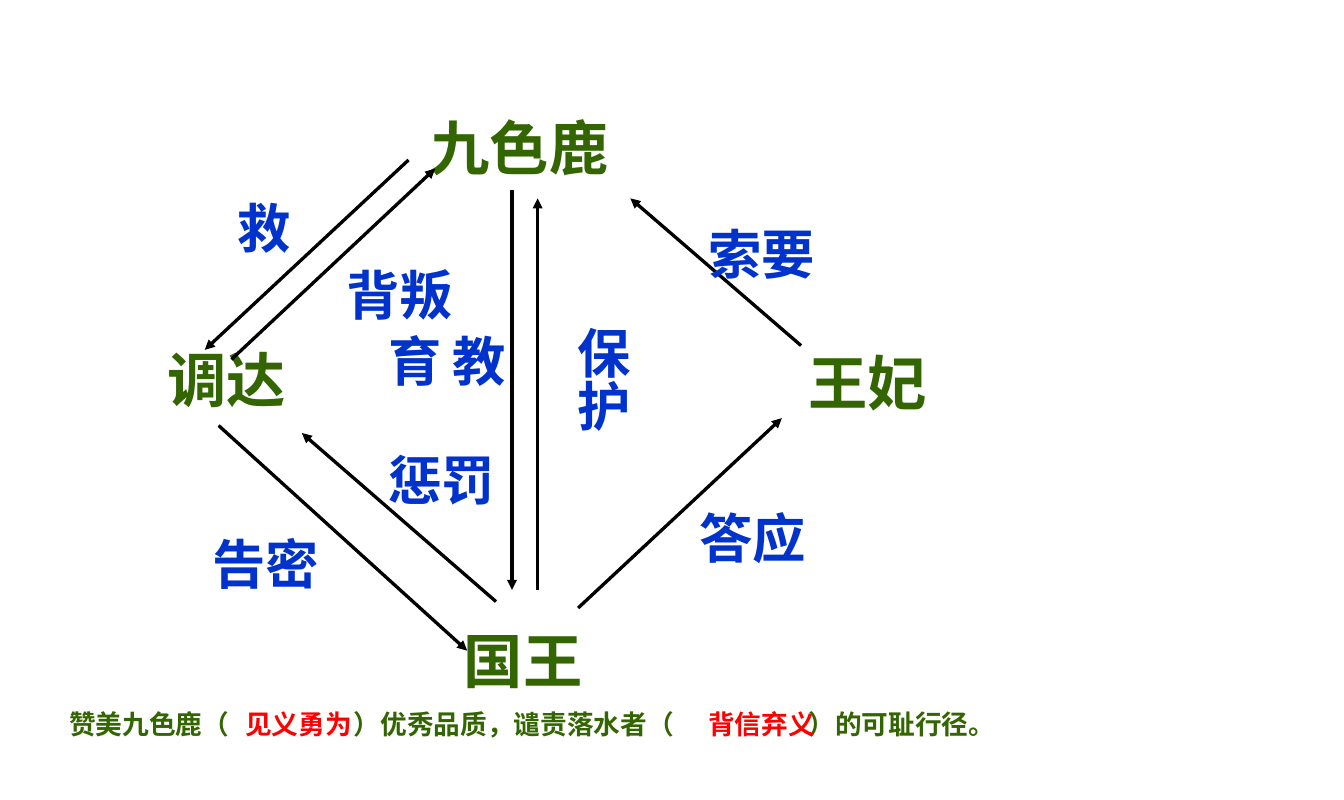
from dataclasses import dataclass
from pptx import Presentation
from pptx import util as u
from pptx.dml.color import RGBColor
from pptx.enum import shapes, text
from pptx.oxml.ns import qn
from lxml import etree


@dataclass
class Theme:
    font: str = "Times New Roman"
    green: str = "336600"
    blue: str = "0033CC"
    red: str = "FF0000"
    black: str = "000000"
    name_size: float = 40
    label_size: float = 36
    summary_size: float = 18
    line_width: float = 2.25


class Diagram:
    def __init__(self, prs, theme):
        self.theme = theme
        self.s = prs.slides.add_slide(prs.slide_layouts[6])

    def words(self, content, box, size, color, vertical=False, tabs=()):
        sp = self.s.shapes.add_textbox(*[u.Inches(v) for v in box])
        tf = sp.text_frame
        tf.word_wrap = True
        tf.auto_size = text.MSO_AUTO_SIZE.SHAPE_TO_FIT_TEXT
        if vertical:
            sp.element.find(".//" + qn("a:bodyPr")).set("vert", "eaVert")
            tf.margin_left = tf.margin_right = u.Inches(0.05)
            tf.margin_top = tf.margin_bottom = u.Inches(0.1)
        p = tf.paragraphs[0]
        if tabs:
            pPr = p._p.get_or_add_pPr()
            stops = etree.SubElement(pPr, qn("a:tabLst"))
            for pos in tabs:
                etree.SubElement(stops, qn("a:tab"), pos=str(u.Inches(pos)), algn="l")
        r = p.add_run()
        r.text = content
        r.font.name = self.theme.font
        r.font.size = u.Pt(size)
        r.font.bold = True
        r.font.color.rgb = RGBColor.from_string(color)

    def arrow(self, *ends):
        c = self.s.shapes.add_connector(
            shapes.MSO_CONNECTOR.STRAIGHT, *[u.Inches(v) for v in ends])
        c.line.color.rgb = RGBColor.from_string(self.theme.black)
        c.line.width = u.Pt(self.theme.line_width)
        ln = c.line._get_or_add_ln()
        etree.SubElement(ln, qn("a:tailEnd"), type="triangle")
        etree.SubElement(c.element.spPr, qn("a:effectLst"))


def main():
    prs = Presentation()
    prs.slide_width, prs.slide_height = u.Inches(12.6), u.Inches(7.5)
    t = Theme()
    d = Diagram(prs, t)

    # Characters
    for name, x, y, w in [
        ("九色鹿", 3.94, 0.99, 2.52),
        ("调达", 1.47, 3.17, 1.68),
        ("国王", 4.25, 5.8, 1.78),
        ("王妃", 7.48, 3.2, 1.68),
    ]:
        d.words(name, (x, y, w, 0.77), t.name_size, t.green)

    # Arrows between characters
    for ends in [
        (4.8, 1.78, 4.8, 5.53),
        (5.04, 5.53, 5.04, 1.86),
        (2.05, 3.99, 4.38, 6.1),
        (4.65, 5.64, 2.83, 4.06),
        (7.51, 3.24, 5.91, 1.86),
        (3.83, 1.5, 1.92, 3.28),
        (2.17, 3.37, 4.08, 1.58),
        (5.42, 5.7, 7.33, 3.92),
    ]:
        d.arrow(*ends)

    # Vertical labels
    for label, x, y, h in [("保护", 5.2, 2.96, 1.33), ("教育", 4.02, 3.04, 1.17)]:
        d.words(label, (x, y, 0.8, h), t.label_size, t.blue, vertical=True)

    # Horizontal labels
    for label, x, y, w in [
        ("惩罚", 3.54, 4.14, 1.68),
        ("告密", 1.89, 4.93, 1.68),
        ("答应", 6.46, 4.69, 1.58),
        ("索要", 6.54, 2.02, 1.68),
        ("救", 2.13, 1.78, 0.94),
        ("背叛", 3.15, 2.41, 1.57),
    ]:
        d.words(label, (x, y, w, 0.7), t.label_size, t.blue)

    # Summary sentence, with tab stops leaving room for the answers
    d.words("赞美九色鹿（\t）优秀品质，谴责落水者（\t）的可耻行径。",
            (0.55, 6.59, 11.61, 0.4), t.summary_size, t.green, tabs=(2.67, 6.93))
    for answer, x in [("见义勇为", 2.2), ("背信弃义", 6.54)]:
        d.words(answer, (x, 6.59, 1.79, 0.4), t.summary_size, t.red)

    prs.save("out.pptx")


if __name__ == "__main__":
    main()
